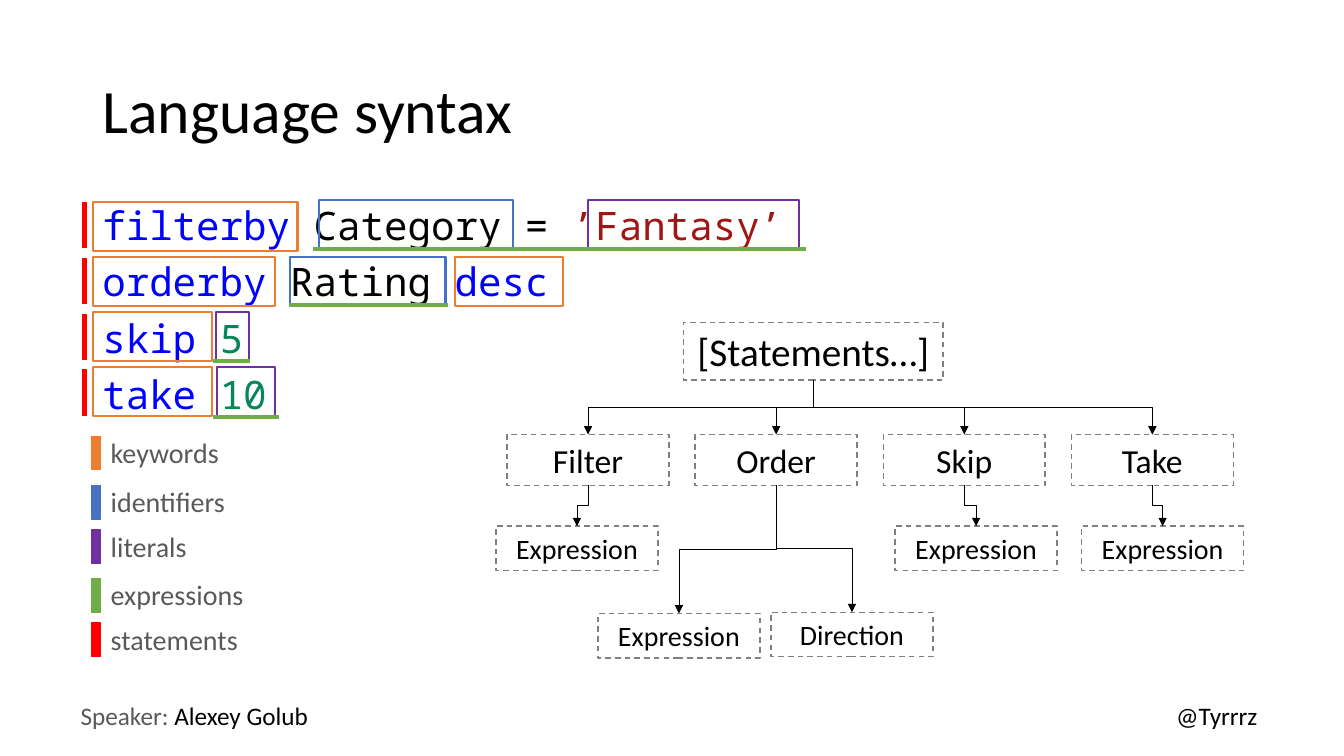
from lxml import etree
from pptx import Presentation
from pptx.dml.color import RGBColor
from pptx.enum.dml import MSO_LINE
from pptx.enum.shapes import MSO_CONNECTOR, MSO_SHAPE
from pptx.enum.text import MSO_ANCHOR, MSO_AUTO_SIZE, PP_ALIGN
from pptx.oxml.ns import qn
from pptx.util import Cm, Pt

STRAIGHT, ELBOW = MSO_CONNECTOR.STRAIGHT, MSO_CONNECTOR.ELBOW
RECT = MSO_SHAPE.RECTANGLE
DASH = MSO_LINE.DASH
MIDDLE = MSO_ANCHOR.MIDDLE
CENTER = PP_ALIGN.CENTER
GROW = MSO_AUTO_SIZE.SHAPE_TO_FIT_TEXT
BOTTOM, TOP = 2, 0

COLORS = {
    "black": "000000", "gray": "595959", "node": "808080",
    "keywords": "ED7D31", "identifiers": "4472C4", "literals": "7030A0",
    "expressions": "70AD47", "statements": "FF0000",
    "code_keyword": "0000FF", "code_string": "A31515", "code_number": "098658",
}
CODE = [
    [("filterby", "code_keyword"), (" Category = ", "black"), ("’Fantasy’", "code_string")],
    [("orderby", "code_keyword"), (" Rating ", "black"), ("desc", "code_keyword")],
    [("skip ", "code_keyword"), ("5", "code_number")],
    [("take ", "code_keyword"), ("10", "code_number")],
]
ROWS = [5.08 + 1.39 * i for i in range(4)]
TOKENS = [
    ("keywords", 2.34, ROWS[0], 5.16),
    ("keywords", 2.34, ROWS[1], 4.6),
    ("keywords", 2.34, ROWS[2], 3),
    ("keywords", 2.34, ROWS[3], 3),
    ("keywords", 11.46, ROWS[1], 2.74),
    ("identifiers", 7.32, ROWS[1], 3.91),
    ("identifiers", 8.05, 5.03, 4.88),
    ("literals", 14.81, 5.03, 5.33),
    ("literals", 5.44, ROWS[2], 0.84),
    ("literals", 5.46, ROWS[3], 1.47),
]
EXPRESSION_SPANS = [(7.9, 20.32), (7.29, 11.3), (5.38, 6.3), (5.38, 7.04)]
LEGEND = [
    ("keywords", 11, 3.25),
    ("identifiers", 12.24, 3.45),
    ("literals", 13.36, 2.49),
    ("expressions", 14.58, 3.89),
    ("statements", 15.7, 3.76),
]
STATEMENTS = ["Filter", "Order", "Skip", "Take"]
LEAVES = [
    ("Filter", "Expression", 12.5, 13.26),
    ("Order", "Expression", 15.07, 15.46),
    ("Order", "Direction", 19.43, 15.43),
    ("Skip", "Expression", 22.56, 13.26),
    ("Take", "Expression", 27.26, 13.26),
]


def rgb(name):
    return RGBColor.from_string(COLORS[name])


def style_font(font, size, color=None, name="Calibri"):
    font.name = name
    font.size = Pt(size)
    if color:
        font.color.rgb = rgb(color)


def add_runs(p, parts):
    for text, color in parts:
        r = p.add_run()
        r.text = text
        r.font.color.rgb = rgb(color)


def add_title(s, text):
    title = s.shapes.title
    title.left, title.top, title.width, title.height = Cm(2.33), Cm(1.01), Cm(29.21), Cm(3.68)
    tf = title.text_frame
    tf.text = text
    tf.vertical_anchor = MIDDLE
    p = tf.paragraphs[0]
    p.alignment = PP_ALIGN.LEFT
    p.line_spacing = 0.9
    style_font(p.font, 44, "black")


def add_code(s):
    tf = s.shapes.add_textbox(Cm(2.33), Cm(5.08), Cm(29.21), Cm(12.09)).text_frame
    tf.word_wrap = True
    for i, parts in enumerate(CODE):
        p = tf.add_paragraph() if i else tf.paragraphs[0]
        p.line_spacing = 0.9
        p.space_before = Pt(10)
        style_font(p.font, 28, name="Noto Sans Mono")
        add_runs(p, parts)


def add_label(s, left, top, width, height, size, parts):
    tf = s.shapes.add_textbox(Cm(left), Cm(top), Cm(width), Cm(height)).text_frame
    tf.word_wrap = False
    tf.auto_size = GROW
    p = tf.paragraphs[0]
    style_font(p.font, size)
    add_runs(p, parts)


def add_rect(s, left, top, width, height, color, line_width, filled=False):
    sp = s.shapes.add_shape(RECT, Cm(left), Cm(top), Cm(width), Cm(height))
    sp.shadow.inherit = False
    if filled:
        sp.fill.solid()
        sp.fill.fore_color.rgb = rgb(color)
    else:
        sp.fill.background()
    sp.line.color.rgb = rgb(color)
    sp.line.width = Pt(line_width)
    return sp


def add_node(s, text, left, top, width, height, size):
    sp = add_rect(s, left, top, width, height, "node", 1)
    sp.line.dash_style = DASH
    tf = sp.text_frame
    tf.word_wrap = True
    tf.auto_size = GROW
    tf.vertical_anchor = MSO_ANCHOR.TOP
    p = tf.paragraphs[0]
    p.text = text
    p.alignment = CENTER
    style_font(p.font, size, "black")
    return sp


def add_connector(s, kind, x1, y1, x2, y2, color, width):
    c = s.shapes.add_connector(kind, x1, y1, x2, y2)
    c.line.color.rgb = rgb(color)
    c.line.width = Pt(width)
    etree.SubElement(c.element.spPr, qn("a:effectLst"))
    return c


def add_mark(s, x1, y1, x2, y2, color):
    add_connector(s, STRAIGHT, Cm(x1), Cm(y1), Cm(x2), Cm(y2), color, 3)


def add_branch(s, parent, child):
    x1, y1 = parent.left + parent.width // 2, parent.top + parent.height
    x2, y2 = child.left + child.width // 2, child.top
    c = add_connector(s, ELBOW, x1, y1, x2, y2, "black", 0.5)
    etree.SubElement(c.line._get_or_add_ln(), qn("a:tailEnd"), type="triangle")
    c.begin_connect(parent, BOTTOM)
    c.end_connect(child, TOP)
    drop, run = y2 - y1, abs(x2 - x1)
    c.left, c.top = (x1 + x2 - drop) // 2, (y1 + y2 - run) // 2
    c.width, c.height = drop, run
    xfrm = c.element.spPr.xfrm
    xfrm.rot = 270 if x2 > x1 else 90
    xfrm.flipH = x2 > x1
    xfrm.flipV = False


def add_tree(s):
    root = add_node(s, "[Statements…]", 17.22, 8.13, 6.55, 1.45, 28)
    nodes = {}
    for i, text in enumerate(STATEMENTS):
        nodes[text] = add_node(s, text, 12.78 + 4.74 * i, 10.95, 4.08, 1.28, 24)
    leaves = [(nodes[parent], add_node(s, text, left, top, 4.08, 1.12, 20))
              for parent, text, left, top in LEAVES]
    for node in nodes.values():
        add_branch(s, root, node)
    for parent, leaf in leaves:
        add_branch(s, parent, leaf)


def main():
    prs = Presentation()
    prs.slide_width, prs.slide_height = Cm(33.87), Cm(19.05)
    s = prs.slides.add_slide(prs.slide_layouts[5])
    add_title(s, "Language syntax")
    add_code(s)
    add_label(s, 1.78, 17.53, 6.32, 1.02, 18, [("Speaker:", "gray"), (" Alexey Golub", "black")])
    add_label(s, 29.39, 17.53, 2.59, 1.02, 18, [("@Tyrrrz", "black")])
    for color, left, top, width in TOKENS:
        add_rect(s, left, top, width, 1.24, color, 1.5)
    for name, top, width in LEGEND:
        add_rect(s, 2.31, top, 0.23, 0.84, name, 1, filled=True)
        add_label(s, 2.54, top - 0.15, width, 1.12, 20, [(name, "gray")])
    for i, (start, end) in enumerate(EXPRESSION_SPANS):
        y = 5.08 + 1.41 * i
        add_mark(s, 2.13, y, 2.13, y + 1.18, "statements")
        add_mark(s, start, y + 1.2, end, y + 1.2, "expressions")
    add_tree(s)
    prs.save("out.pptx")


if __name__ == "__main__":
    main()
